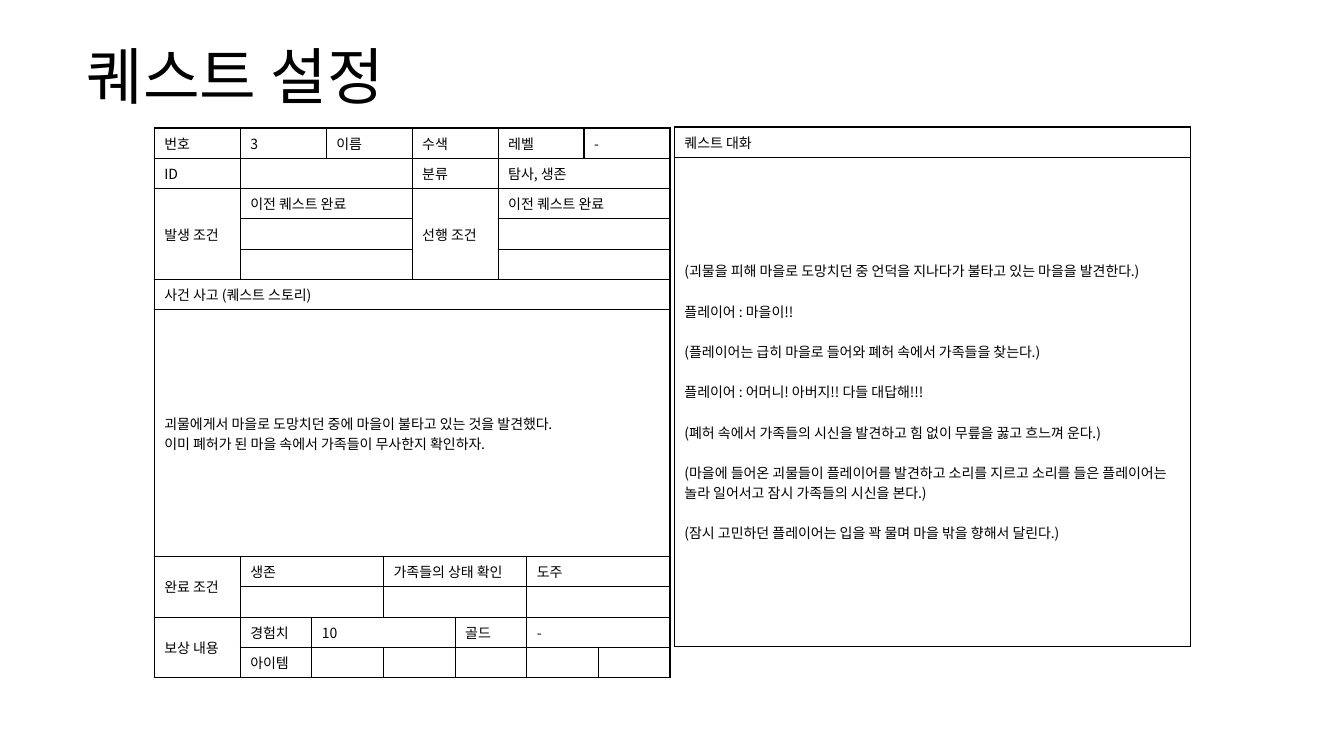
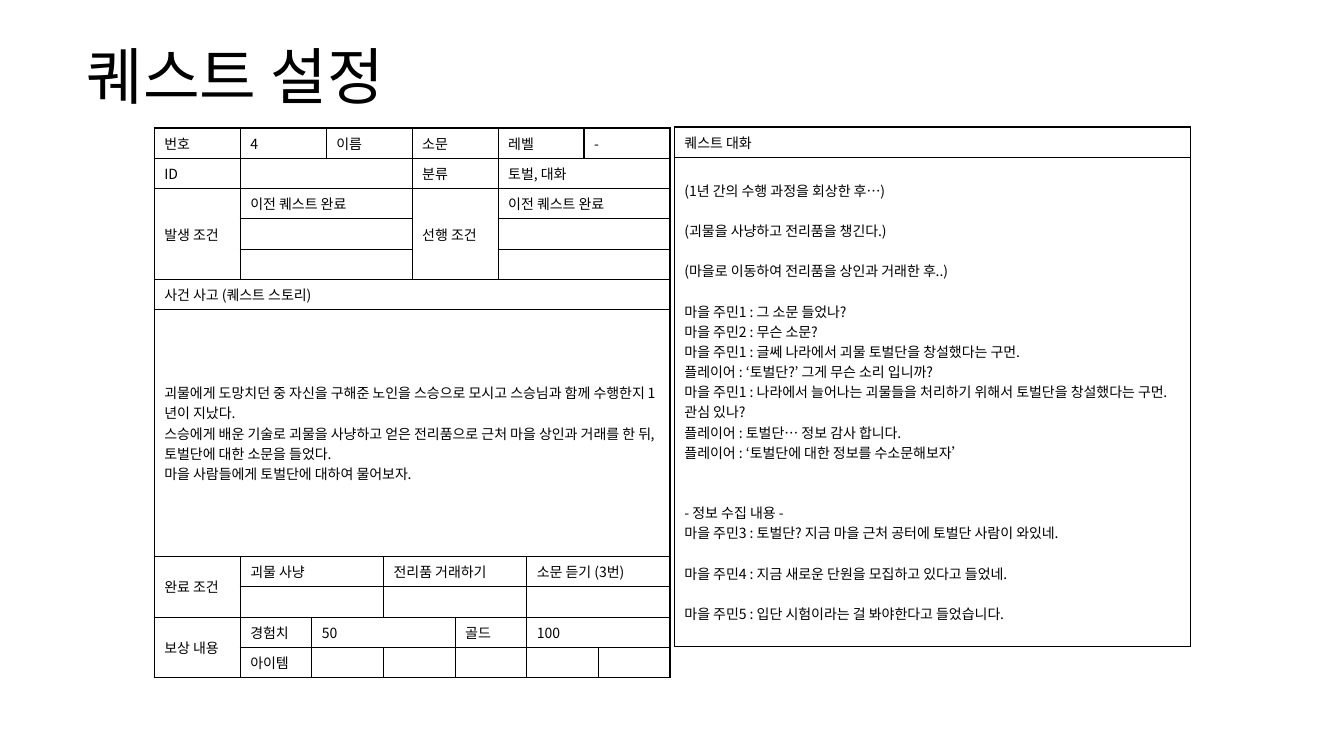
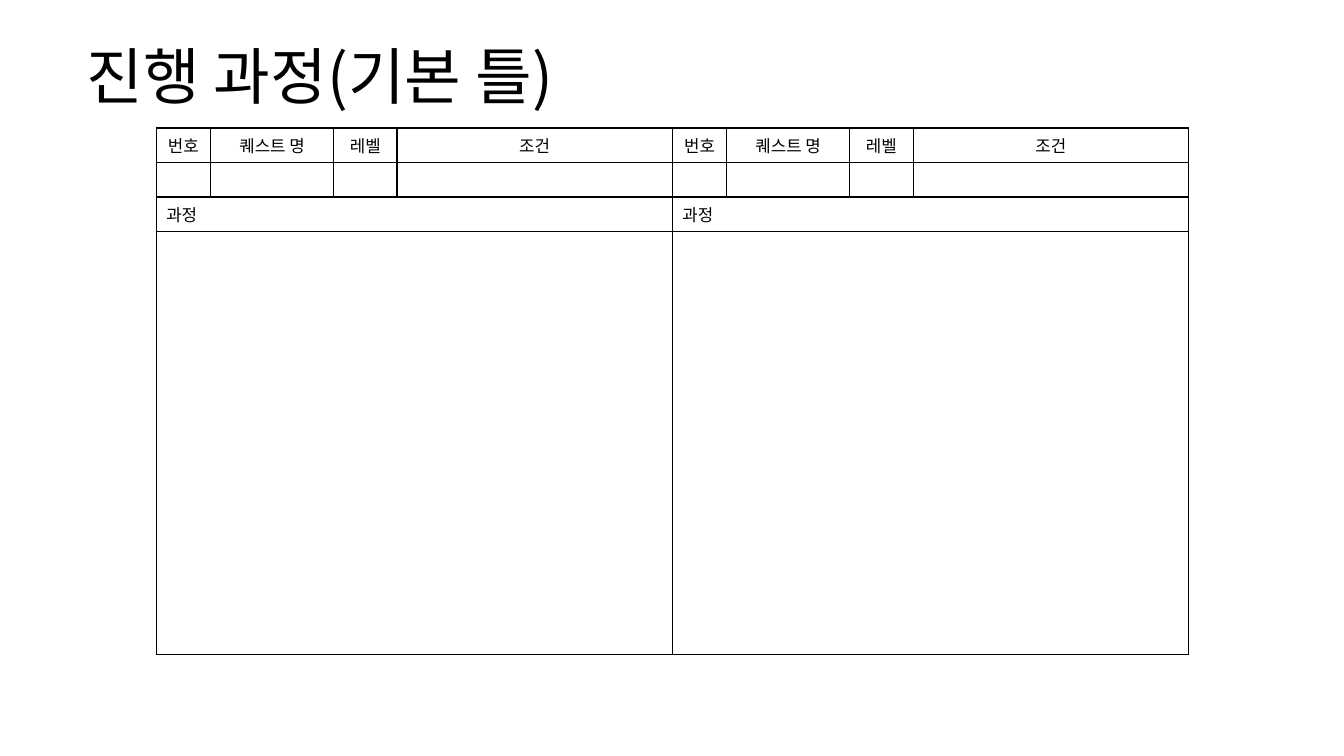
from lxml import etree
from pptx import Presentation
from pptx.dml.color import RGBColor
from pptx.enum.text import MSO_ANCHOR as Anchor, MSO_AUTO_SIZE as AutoSize, PP_ALIGN as Align
from pptx.oxml.ns import qn
from pptx.util import Pt

BLACK = RGBColor(0, 0, 0)
FONT = "Noto Sans CJK KR"
TABLE_WIDTH = 368.64
HALF = [51.2, 10.24, 40.96, 20.48, 30.72]
FORM_COLS = [61.44, *HALF, *HALF[::-1]]
FORM_ROWS = [21.6] * 6 + [176.4] + [21.6] * 4
FLOW_COLS = [38.88, 87.84, 45.36, 196.56]
FLOW_ROWS = [24.6] * 3 + [302.4]


class Deck:
    def __init__(self):
        self.prs = Presentation()
        self.prs.slide_width, self.prs.slide_height = Pt(960), Pt(540)
        self.s = None

    def slide(self, title):
        self.s = self.prs.slides.add_slide(self.prs.slide_layouts[5])
        sp = self.s.shapes.title
        sp.left, sp.top, sp.width, sp.height = Pt(54.72), Pt(23.04), Pt(850.32), Pt(67.68)
        tf = sp.text_frame
        tf.auto_size = AutoSize.NONE
        tf.vertical_anchor = Anchor.MIDDLE
        p = tf.paragraphs[0]
        p.alignment, p.line_spacing = Align.LEFT, 0.9
        self.run(p, title, 44)

    def run(self, p, text, size):
        r = p.add_run()
        r.text = text
        r.font.size, r.font.name = Pt(size), FONT
        r.font.color.rgb = BLACK
        etree.SubElement(r._r.get_or_add_rPr(), qn("a:ea"), typeface=FONT)

    def text(self, cell, text, size, align):
        tf = cell.text_frame
        p, gap = tf.paragraphs[0], 0
        for i, line in enumerate(text.split("\n")):
            if not line:
                gap += 1
                continue
            if i:
                p = tf.add_paragraph()
            p.alignment = align
            p.space_before = Pt(gap * size * 1.44)
            gap = 0
            self.run(p, line, size)

    def style_cell(self, cell, size):
        cell.fill.background()
        cell.vertical_anchor = Anchor.MIDDLE
        pr = cell._tc.get_or_add_tcPr()
        for i, side in enumerate(("lnL", "lnR", "lnT", "lnB")):
            ln = etree.Element(qn(f"a:{side}"), w=str(Pt(1)))
            fill = etree.SubElement(ln, qn("a:solidFill"))
            etree.SubElement(fill, qn("a:srgbClr"), val=str(BLACK))
            pr.insert(i, ln)
        p = cell.text_frame.paragraphs[0]
        etree.SubElement(p._p, qn("a:endParaRPr"), sz=str(size * 100))

    def table(self, left, top, cols, rows, cells, size=10):
        frame = self.s.shapes.add_table(len(rows), len(cols), Pt(left), Pt(top),
                                        Pt(sum(cols)), Pt(sum(rows)))
        tbl = frame.table
        tbl.first_row = tbl.horz_banding = False
        for col, width in zip(tbl.columns, cols):
            col.width = Pt(width)
        for row, height in zip(tbl.rows, rows):
            row.height = Pt(height)
        for cell in tbl.iter_cells():
            self.style_cell(cell, size)
        for row, col, height, width, text, *align in cells:
            cell = tbl.cell(row, col)
            if height * width > 1:
                cell.merge(tbl.cell(row + height - 1, col + width - 1))
            if text:
                self.text(cell, text, size, align[0] if align else Align.LEFT)

    def quest(self, number, name, kind, story, goals, exp, gold, dialogue):
        self.slide("퀘스트 설정")
        top = ["번호", number, "이름", name, "레벨", "-"]
        cells = [(0, max(0, 2 * i - 1), 1, 2 if i else 1, t) for i, t in enumerate(top)]
        cells += [
            (1, 0, 1, 1, "ID"), (1, 1, 1, 4, ""), (1, 5, 1, 2, "분류"), (1, 7, 1, 4, kind),
            (2, 0, 3, 1, "발생 조건"), (2, 5, 3, 2, "선행 조건"),
            (5, 0, 1, 11, "사건 사고 (퀘스트 스토리)"), (6, 0, 1, 11, story),
            (7, 0, 2, 1, "완료 조건"), (9, 0, 2, 1, "보상 내용"),
            (9, 1, 1, 1, "경험치"), (9, 2, 1, 4, exp),
            (9, 6, 1, 2, "골드"), (9, 8, 1, 3, gold), (10, 1, 1, 1, "아이템"),
        ]
        for row, text in enumerate(["이전 퀘스트 완료", "", ""], 2):
            cells += [(row, col, 1, 4, text) for col in (1, 7)]
        for (col, width), goal in zip([(1, 3), (4, 4), (8, 3)], goals):
            cells += [(7, col, 1, width, goal), (8, col, 1, width, "")]
        cells += [(10, col, 1, 2, "") for col in range(2, 10, 2)]
        self.table(110.16, 91.44, FORM_COLS, FORM_ROWS, cells)
        self.table(481.68, 90.72, [TABLE_WIDTH], [21.6, 349.2],
                   [(0, 0, 1, 1, "퀘스트 대화"), (1, 0, 1, 1, dialogue)])

    def flow(self, title):
        self.slide(title)
        heads = ["번호", "퀘스트 명", "레벨", "조건"]
        cells = [(0, i, 1, 1, t, Align.CENTER) for i, t in enumerate(heads)]
        cells += [(2, 0, 1, 4, "과정"), (3, 0, 1, 4, "")]
        for left in (111.6, 111.6 + TABLE_WIDTH):
            self.table(left, 91.44, FLOW_COLS, FLOW_ROWS, cells, 12)


deck = Deck()
deck.quest(
    "3", "수색", "탐사, 생존",
    "괴물에게서 마을로 도망치던 중에 마을이 불타고 있는 것을 발견했다.\n"
    "이미 폐허가 된 마을 속에서 가족들이 무사한지 확인하자.",
    ["생존", "가족들의 상태 확인", "도주"], "10", "-",
    "(괴물을 피해 마을로 도망치던 중 언덕을 지나다가 불타고 있는 마을을 발견한다.)\n\n"
    "플레이어 : 마을이!!\n\n"
    "(플레이어는 급히 마을로 들어와 폐허 속에서 가족들을 찾는다.)\n\n"
    "플레이어 : 어머니! 아버지!! 다들 대답해!!!\n\n"
    "(폐허 속에서 가족들의 시신을 발견하고 힘 없이 무릎을 꿇고 흐느껴 운다.)\n\n"
    "(마을에 들어온 괴물들이 플레이어를 발견하고 소리를 지르고 소리를 들은 플레이어는 "
    "놀라 일어서고 잠시 가족들의 시신을 본다.)\n\n"
    "(잠시 고민하던 플레이어는 입을 꽉 물며 마을 밖을 향해서 달린다.)")
deck.quest(
    "4", "소문", "토벌, 대화",
    "괴물에게 도망치던 중 자신을 구해준 노인을 스승으로 모시고 스승님과 함께 수행한지 1년이 지났다.\n"
    "스승에게 배운 기술로 괴물을 사냥하고 얻은 전리품으로 근처 마을 상인과 거래를 한 뒤, "
    "토벌단에 대한 소문을 들었다.\n"
    "마을 사람들에게 토벌단에 대하여 물어보자.",
    ["괴물 사냥", "전리품 거래하기", "소문 듣기 (3번)"], "50", "100",
    "(1년 간의 수행 과정을 회상한 후…)\n\n"
    "(괴물을 사냥하고 전리품을 챙긴다.)\n\n"
    "(마을로 이동하여 전리품을 상인과 거래한 후..)\n\n"
    "마을 주민1 : 그 소문 들었나?\n"
    "마을 주민2 : 무슨 소문?\n"
    "마을 주민1 : 글쎄 나라에서 괴물 토벌단을 창설했다는 구먼.\n"
    "플레이어 : ‘토벌단?’ 그게 무슨 소리 입니까?\n"
    "마을 주민1 : 나라에서 늘어나는 괴물들을 처리하기 위해서 토벌단을 창설했다는 구먼. 관심 있나?\n"
    "플레이어 : 토벌단… 정보 감사 합니다.\n"
    "플레이어 : ‘토벌단에 대한 정보를 수소문해보자’\n\n\n"
    "- 정보 수집 내용 -\n"
    "마을 주민3 : 토벌단? 지금 마을 근처 공터에 토벌단 사람이 와있네.\n\n"
    "마을 주민4 : 지금 새로운 단원을 모집하고 있다고 들었네.\n\n"
    "마을 주민5 : 입단 시험이라는 걸 봐야한다고 들었습니다.")
deck.flow("진행 과정(기본 틀)")
deck.prs.save("out.pptx")
